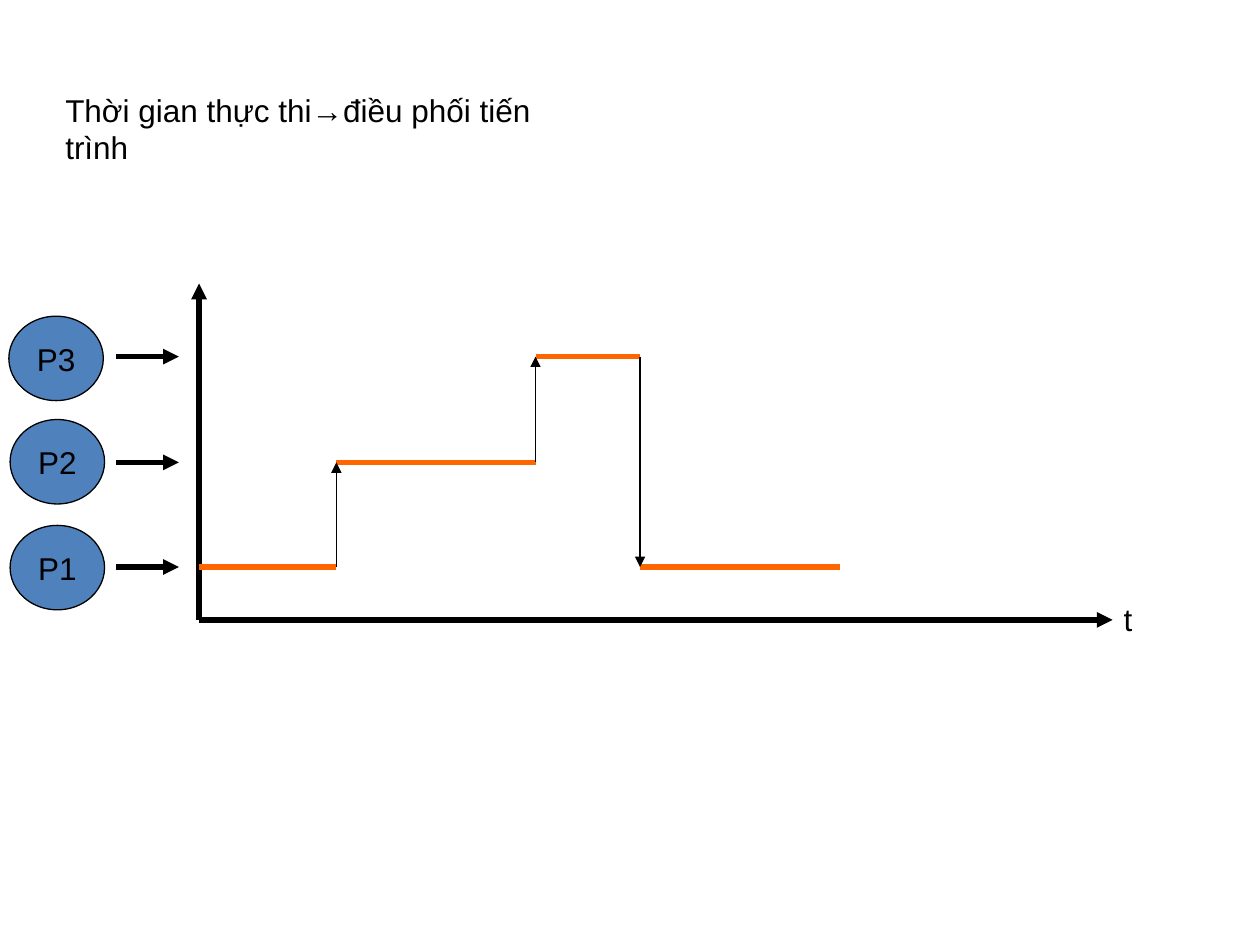
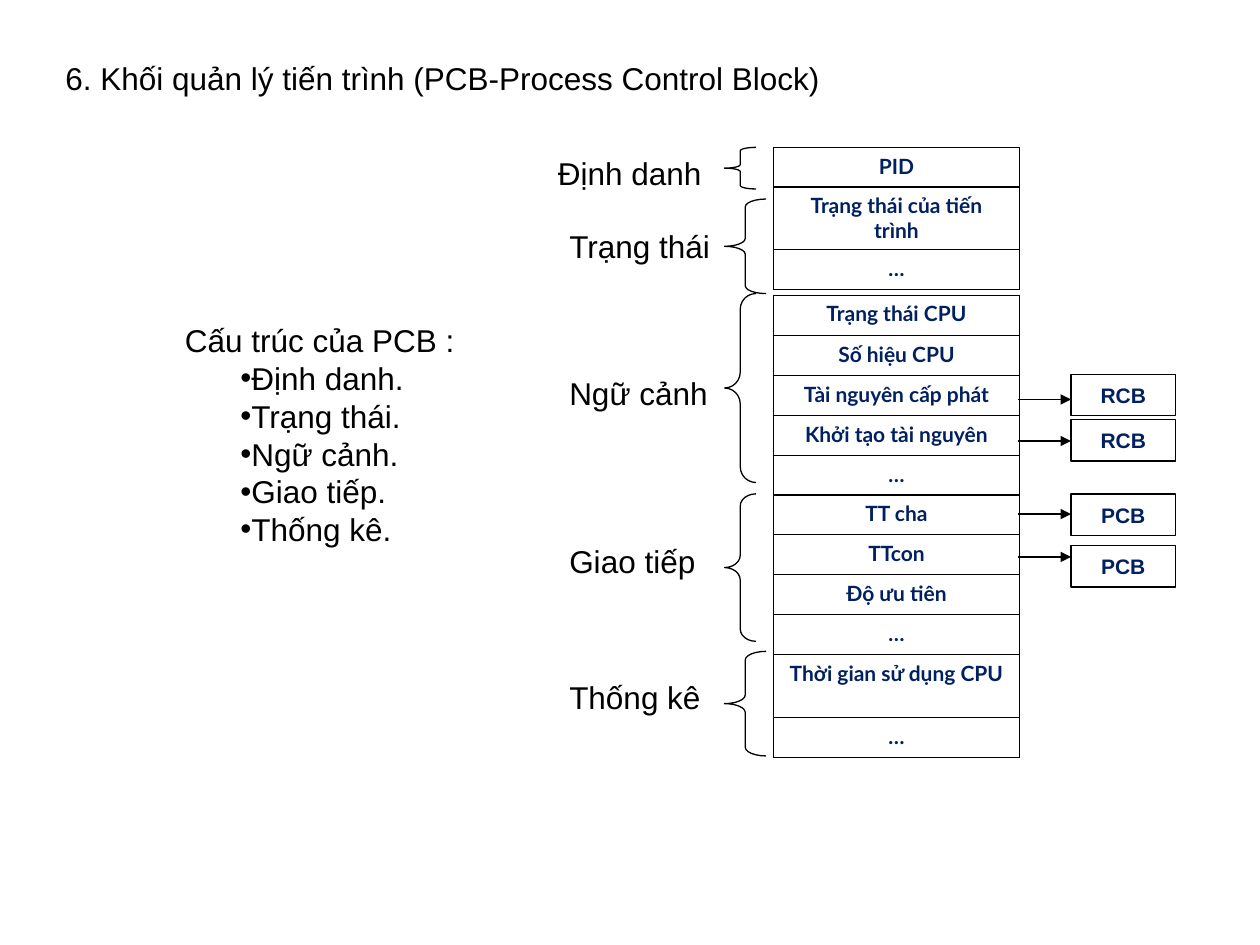
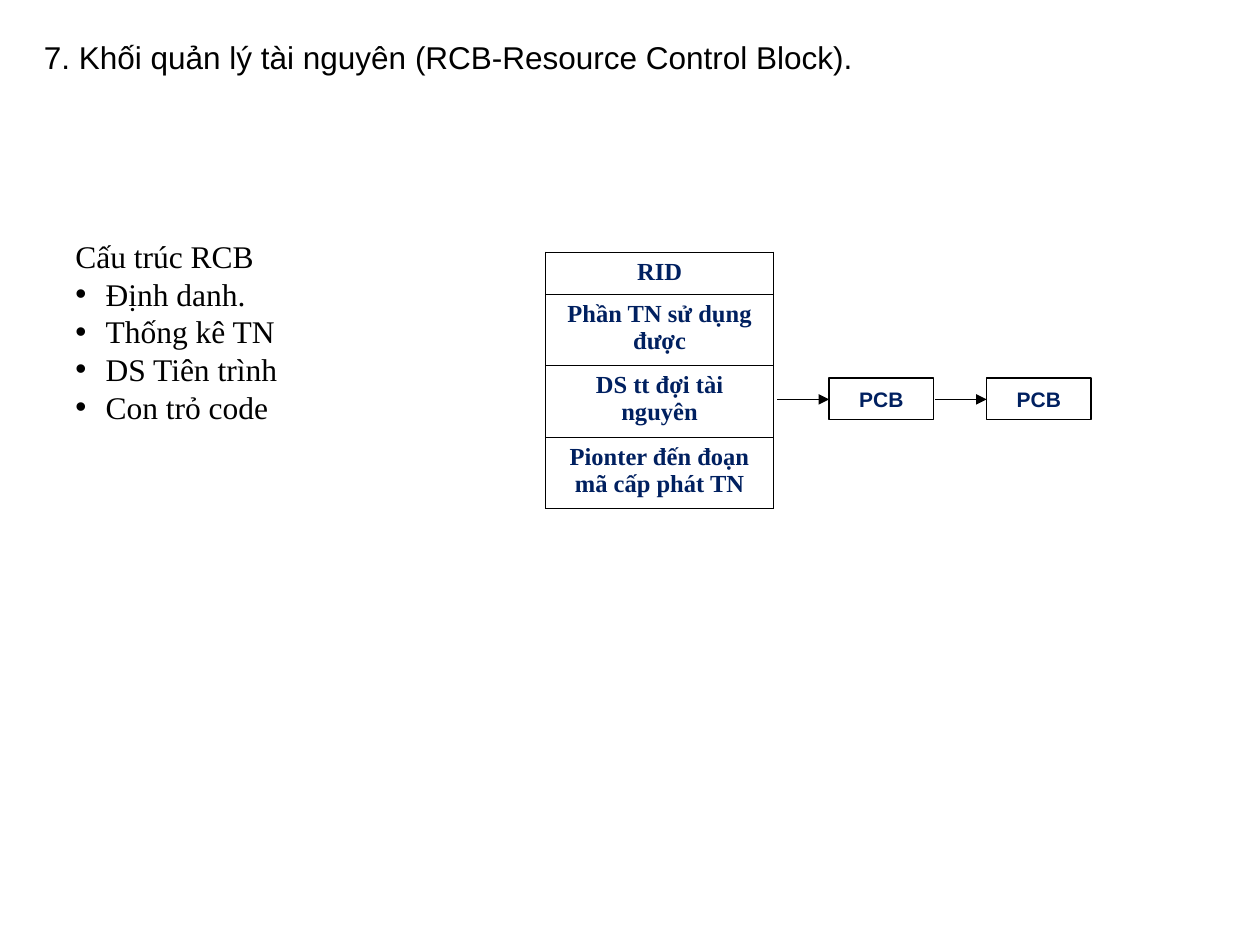
from itertools import pairwise

from lxml.etree import SubElement
from pptx import Presentation
from pptx.dml.color import RGBColor
from pptx.enum.shapes import MSO_CONNECTOR, MSO_SHAPE
from pptx.enum.text import MSO_ANCHOR, PP_ALIGN
from pptx.oxml import parse_xml
from pptx.oxml.ns import nsdecls, qn
from pptx.util import Inches, Pt

BLACK = RGBColor(0x00, 0x00, 0x00)
NAVY = RGBColor(0x00, 0x20, 0x60)
BLUE = RGBColor(0x4F, 0x81, 0xBD)
ORANGE = RGBColor(0xFF, 0x66, 0x00)
SANS, TABLE_SANS, SERIF = "Arial", "Lato", "Times New Roman"


def write(frame, text, font=SANS, size=18, color=BLACK, bold=False,
          align=PP_ALIGN.LEFT, anchor=MSO_ANCHOR.TOP, wrap=False, bullets=None):
    """Write one paragraph per line; bullets is (margin, indent) after the first line."""
    frame.word_wrap = wrap
    frame.vertical_anchor = anchor
    for number, content in enumerate(text.split("\n")):
        paragraph = frame.add_paragraph() if number else frame.paragraphs[0]
        paragraph.alignment = align
        if bullets and number:
            margin, indent = bullets
            properties = paragraph._p.get_or_add_pPr()
            properties.set("marL", str(Inches(margin)))
            properties.set("indent", str(Inches(indent)))
            SubElement(properties, qn("a:buFont")).set("typeface", SANS)
            SubElement(properties, qn("a:buChar")).set("char", "•")
        run = paragraph.add_run()
        run.text = content
        run.font.name, run.font.size, run.font.bold = font, Pt(size), bold
        run.font.color.rgb = color


def draw_line(slide, x1, y1, x2, y2, color=BLACK, width=0.75, arrow=True):
    connector = slide.shapes.add_connector(
        MSO_CONNECTOR.STRAIGHT, Inches(x1), Inches(y1), Inches(x2), Inches(y2))
    connector.line.color.rgb = color
    connector.line.width = Pt(width)
    if arrow:
        SubElement(connector.line._get_or_add_ln(), qn("a:tailEnd")).set("type", "triangle")
    SubElement(connector._element.spPr, qn("a:effectLst"))


prs = Presentation()
prs.slide_width, prs.slide_height = Inches(10), Inches(7.5)
scheduling, pcb, rcb = [prs.slides.add_slide(prs.slide_layouts[6]) for _ in range(3)]

# Titles and single-line labels
labels = [
    (scheduling, 0.42, 0.67, 4.46, "Thời gian thực thi→điều phối tiến trình"),
    (scheduling, 8.82, 4.71, 0.27, "t"),
    (pcb, 0.42, 0.42, 6.26, "6. Khối quản lý tiến trình (PCB-Process Control Block)"),
    (pcb, 4.33, 1.17, 1.34, "Định danh"),
    (pcb, 4.42, 1.75, 1.32, "Trạng thái"),
    (pcb, 4.42, 2.92, 1.3, "Ngữ cảnh"),
    (pcb, 4.42, 4.25, 1.2, "Giao tiếp"),
    (pcb, 4.42, 5.33, 1.24, "Thống kê"),
    (rcb, 0.25, 0.25, 6.69, "7. Khối quản lý tài nguyên (RCB-Resource Control Block)."),
]
for slide, left, top, width, text in labels:
    label = slide.shapes.add_textbox(Inches(left), Inches(top), Inches(width), Inches(0.4))
    write(label.text_frame, text)

# Structure lists
lists = [
    (pcb, 1.37, 2.5, 2.34, 1.9, SANS, (0.44, 0),
     "Cấu trúc của PCB :\nĐịnh danh.\nTrạng thái.\nNgữ cảnh.\nGiao tiếp.\nThống kê."),
    (rcb, 0.5, 1.83, 3.67, 1.6, SERIF, (0.24, -0.24),
     "Cấu trúc RCB\nĐịnh danh.\nThống kê TN\nDS Tiên trình\nCon trỏ code"),
]
for slide, left, top, width, height, font, bullets, text in lists:
    structure = slide.shapes.add_textbox(
        Inches(left), Inches(top), Inches(width), Inches(height))
    write(structure.text_frame, text, font=font, wrap=True, bullets=bullets)

# Timeline: axes
draw_line(scheduling, 1.58, 4.92, 1.58, 2.25, width=3)
draw_line(scheduling, 1.58, 4.92, 8.83, 4.92, width=3)

# Timeline: processes pointing at their levels
P1, P2, P3 = 4.5, 3.67, 2.83
for name, level, left, top in [("P1", P1, 0.08, 4.17), ("P2", P2, 0.08, 3.33),
                               ("P3", P3, 0.07, 2.51)]:
    process = scheduling.shapes.add_shape(
        MSO_SHAPE.OVAL, Inches(left), Inches(top), Inches(0.75), Inches(0.67))
    process.shadow.inherit = False
    process.fill.solid()
    process.fill.fore_color.rgb = BLUE
    process.line.color.rgb = BLACK
    process.line.width = Pt(0.75)
    write(process.text_frame, name, align=PP_ALIGN.CENTER, anchor=MSO_ANCHOR.MIDDLE)
    draw_line(scheduling, 0.92, level, 1.42, level, width=3)

# Timeline: running periods and the switches between them
switch_times = [1.58, 2.67, 4.25, 5.08, 6.67]
running = [P1, P2, P3, P1]
for (start, end), level in zip(pairwise(switch_times), running):
    draw_line(scheduling, start, level, end, level, color=ORANGE, width=3, arrow=False)
for time, (before, after) in zip(switch_times[1:], pairwise(running)):
    draw_line(scheduling, time, before, time, after)

# Control block tables: the first row has its own height, the others share the rest
PCB_COLUMN = (pcb, 6.14, 1.95, TABLE_SANS, 12)
RCB_COLUMN = (rcb, 4.33, 1.81, SERIF, 14)
blocks = [
    (PCB_COLUMN, 1.17, 0.32, 0.32, ["PID"]),
    (PCB_COLUMN, 1.48, 0.82, 0.5, ["Trạng thái của tiến trình", "…"]),
    (PCB_COLUMN, 2.34, 1.59, 0.32, ["Trạng thái CPU", "Số hiệu CPU", "Tài nguyên cấp phát",
                                    "Khởi tạo tài nguyên", "…"]),
    (PCB_COLUMN, 3.92, 1.27, 0.32, ["TT cha", "TTcon", "Độ ưu tiên", "…"]),
    (PCB_COLUMN, 5.19, 0.82, 0.5, ["Thời gian sử dụng CPU", "…"]),
    (RCB_COLUMN, 2, 2.03, 0.33, ["RID", "Phần TN sử dụng được", "DS tt đợi tài nguyên",
                                 "Pionter đến đoạn mã cấp phát TN"]),
]
for (slide, left, width, font, size), top, height, first_height, fields in blocks:
    block = slide.shapes.add_table(len(fields), 1, Inches(left), Inches(top),
                                   Inches(width), Inches(height)).table
    block.first_row = block.horz_banding = False
    for number, field in enumerate(fields):
        row_height = (height - first_height) / (len(fields) - 1) if number else first_height
        block.rows[number].height = Inches(row_height)
        cell = block.cell(number, 0)
        cell.fill.background()
        write(cell.text_frame, field, font=font, size=size, color=NAVY, bold=True,
              align=PP_ALIGN.CENTER, wrap=True)
        for position, side in enumerate(["lnL", "lnR", "lnT", "lnB"]):
            cell._tc.get_or_add_tcPr().insert(position, parse_xml(
                f'<a:{side} {nsdecls("a")} w="{Pt(0.45)}"><a:solidFill>'
                f'<a:srgbClr val="{BLACK}"/></a:solidFill></a:{side}>'))

# Braces grouping the PCB fields; the curve radius is a twelfth of the height
for top, width, height in [(1.17, 0.25, 0.33), (1.58, 0.33, 0.75), (2.33, 0.25, 1.5),
                           (3.92, 0.25, 1.17), (5.17, 0.33, 0.83)]:
    brace = pcb.shapes.add_shape(
        MSO_SHAPE.LEFT_BRACE, Inches(5.75), Inches(top), Inches(width), Inches(height))
    brace.shadow.inherit = False
    brace.adjustments[0] = height / 12 / width
    brace.fill.background()
    brace.line.color.rgb = BLACK
    brace.line.width = Pt(0.75)

# Linked control blocks, each with the arrow that leads to it
links = [
    (pcb, 8.5, 2.97, "RCB", 8.08, 3.17),
    (pcb, 8.5, 3.33, "RCB", 8.08, 3.5),
    (pcb, 8.5, 3.92, "PCB", 8.08, 4.08),
    (pcb, 8.5, 4.33, "PCB", 8.08, 4.42),
    (rcb, 6.58, 3, "PCB", 6.17, 3.17),
    (rcb, 7.83, 3, "PCB", 7.42, 3.17),
]
for slide, left, top, name, arrow_start, arrow_y in links:
    linked = slide.shapes.add_shape(
        MSO_SHAPE.RECTANGLE, Inches(left), Inches(top), Inches(0.83), Inches(0.33))
    linked.shadow.inherit = False
    linked.fill.background()
    linked.line.color.rgb = BLACK
    linked.line.width = Pt(0.75)
    write(linked.text_frame, name, size=12, color=NAVY, bold=True,
          align=PP_ALIGN.CENTER, anchor=MSO_ANCHOR.MIDDLE)
    draw_line(slide, arrow_start, arrow_y, left, arrow_y)

prs.save("out.pptx")
